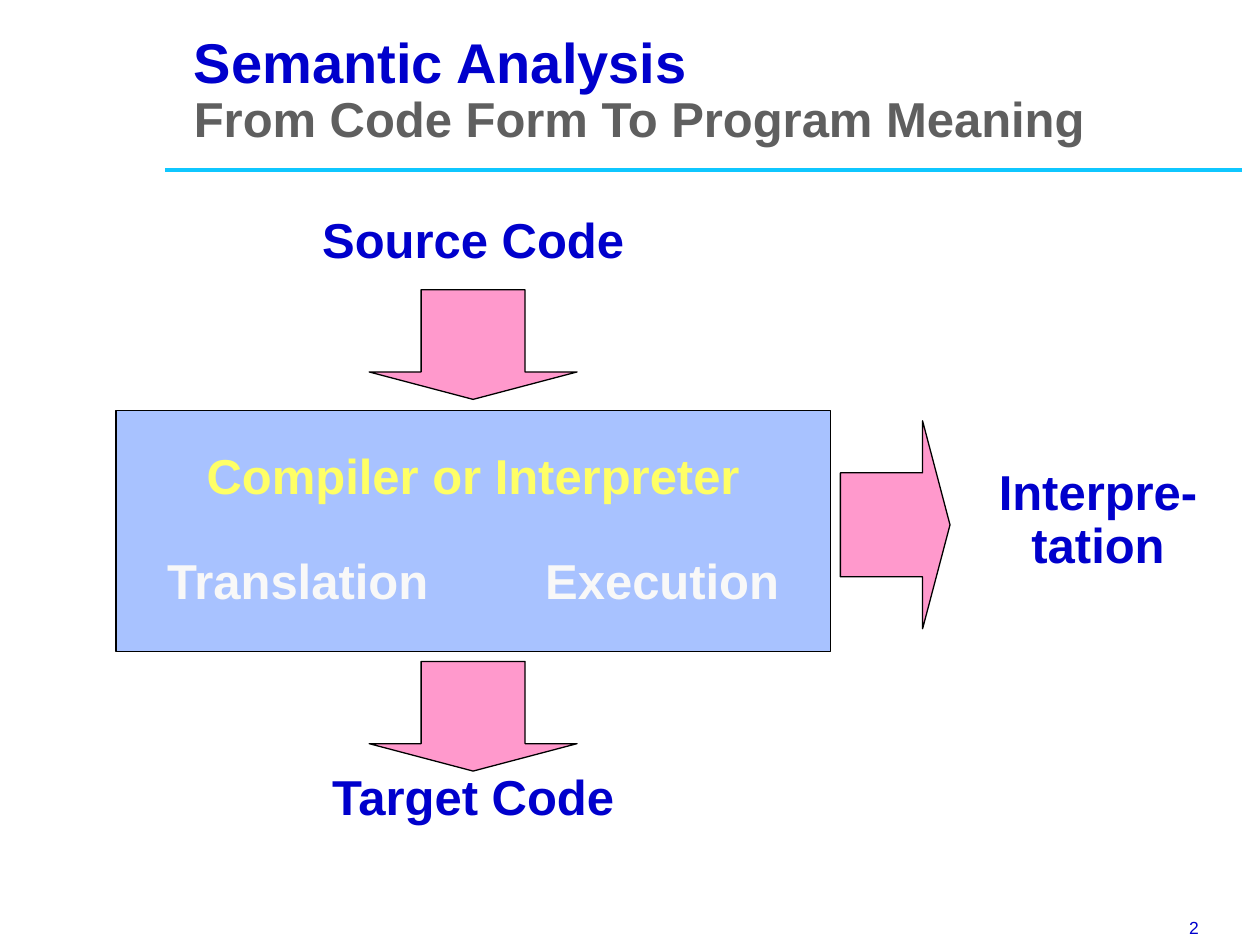
from dataclasses import dataclass

from lxml import etree
from pptx import Presentation
from pptx.dml.color import RGBColor
from pptx.enum.shapes import MSO_CONNECTOR, MSO_SHAPE
from pptx.enum.text import MSO_ANCHOR, PP_ALIGN
from pptx.oxml.ns import qn
from pptx.util import Inches, Pt


@dataclass(frozen=True)
class Theme:
    font: str = "Arial"
    blue: str = "0000CC"
    gray: str = "5F5F5F"
    cyan: str = "0FC7FF"
    panel: str = "A8C2FF"
    pink: str = "FF99CC"
    yellow: str = "FFFF66"
    white: str = "F8F8F8"
    black: str = "000000"
    title_size: int = 32
    body_size: int = 28
    number_size: int = 10


theme = Theme()


def write(shape, lines, align=PP_ALIGN.CENTER, anchor=MSO_ANCHOR.TOP, bold=True, wrap=False):
    """Fill a shape with lines given as (text, size, color)."""
    frame = shape.text_frame
    frame.word_wrap = wrap
    frame.vertical_anchor = anchor
    frame.text = "\n".join(text for text, size, color in lines)
    for para, (text, size, color) in zip(frame.paragraphs, lines):
        para.alignment = align
        para.line_spacing = 0.9
        for span in para.runs:
            span.font.name = theme.font
            span.font.size = Pt(size)
            span.font.bold = bold
            span.font.color.rgb = RGBColor.from_string(color)


def add_block(kind, left, top, width, height, fill):
    """Add a flat filled shape with a thin black outline."""
    block = slide.shapes.add_shape(kind, Inches(left), Inches(top), Inches(width), Inches(height))
    block.shadow.inherit = False
    block.fill.solid()
    block.fill.fore_color.rgb = RGBColor.from_string(fill)
    block.line.color.rgb = RGBColor.from_string(theme.black)
    block.line.width = Pt(0.75)
    return block


deck = Presentation()
deck.slide_width, deck.slide_height = Inches(10), Inches(7.5)
slide = deck.slides.add_slide(deck.slide_layouts[6])

# Rule under the title
rule = slide.shapes.add_connector(
    MSO_CONNECTOR.STRAIGHT, Inches(1.31), Inches(1.35), Inches(9.86), Inches(1.35))
rule.line.color.rgb = RGBColor.from_string(theme.cyan)
rule.line.width = Pt(2.25)
etree.SubElement(rule._element.spPr, qn("a:effectLst"))

# Title and subtitle
title = slide.shapes.add_textbox(Inches(1.44), Inches(0.29), Inches(8.12), Inches(0.87))
write(title, [("Semantic Analysis", theme.title_size, theme.blue),
              ("From Code Form To Program Meaning", theme.body_size, theme.gray)],
      align=PP_ALIGN.LEFT, anchor=MSO_ANCHOR.MIDDLE, wrap=True)

# Slide number
number = slide.shapes.add_textbox(Inches(9.34), Inches(7.25), Inches(0.83), Inches(0.25))
write(number, [("2", theme.number_size, theme.blue)], align=PP_ALIGN.LEFT, bold=False)

# Central panel, its two stages parted by a tab
panel = add_block(MSO_SHAPE.RECTANGLE, 0.92, 3.26, 5.67, 1.91, theme.panel)
write(panel, [("Compiler or Interpreter", theme.body_size, theme.yellow),
              ("Translation\tExecution", theme.body_size, theme.white)],
      anchor=MSO_ANCHOR.MIDDLE)
stages = panel.text_frame.paragraphs[1]
stages.space_before = Pt(30)
tabs = etree.SubElement(stages._p.get_or_add_pPr(), qn("a:tabLst"))
for inch in range(8):
    etree.SubElement(tabs, qn("a:tab"), pos=str(Inches(inch)), algn="l")

# Arrows into and out of the panel
for left, top, rotation in [(2.93, 2.3, 0), (2.93, 5.25, 0), (6.28, 3.73, 270)]:
    arrow = add_block(MSO_SHAPE.DOWN_ARROW, left, top, 1.65, 0.87, theme.pink)
    arrow.adjustments[0] = 0.5
    arrow.adjustments[1] = 0.25
    arrow.rotation = rotation

# Input and output labels, with a little room so that no line breaks
labels = [
    (["Source Code"], 2.43, 1.67, 2.65, 0.52),
    (["Target Code"], 2.5, 6.09, 2.51, 0.52),
    (["Interpre-", "tation"], 7.8, 3.67, 1.83, 0.94),
]
for words, left, top, width, height in labels:
    label = slide.shapes.add_textbox(Inches(left), Inches(top), Inches(width), Inches(height))
    write(label, [(word, theme.body_size, theme.blue) for word in words])

deck.save("out.pptx")
